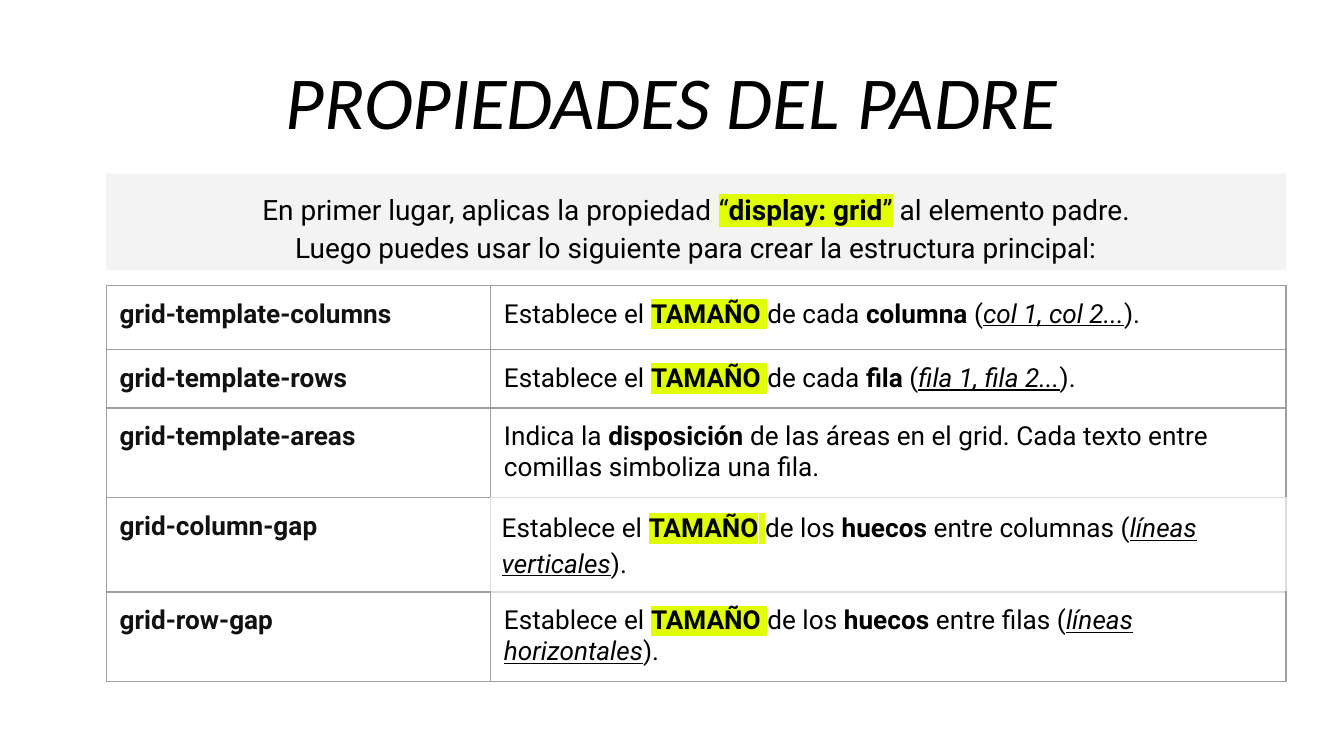
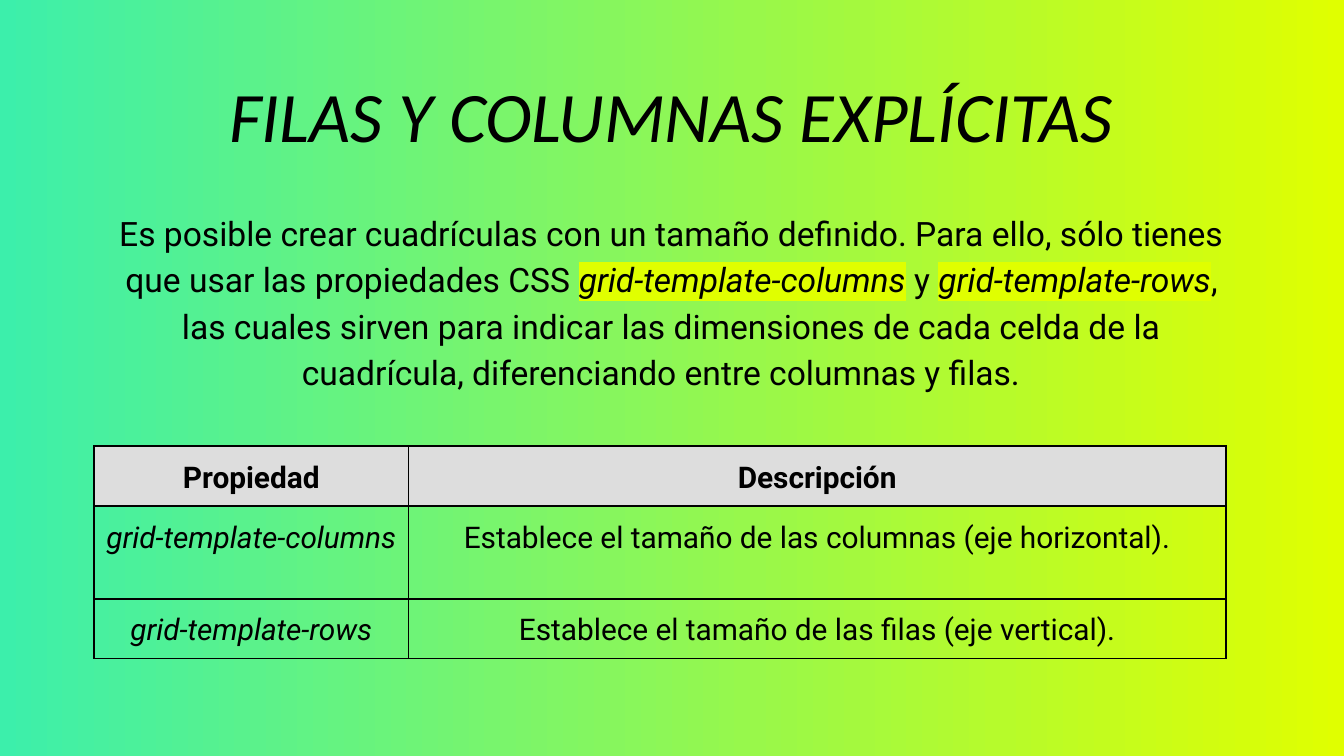
import pptx
import pptx.dml.color
import pptx.enum.shapes
import pptx.enum.text
import pptx.oxml.ns
import pptx.util
from lxml import etree

Pt = pptx.util.Pt
CENTER = pptx.enum.text.PP_ALIGN.CENTER
LEFT = pptx.enum.text.PP_ALIGN.LEFT

BLACK, INK, WHITE = "000000", "111111", "FFFFFF"
LIME, TEAL = "E0FF00", "3CEFAB"
BAND, HEADER, GREY, PALE = "F3F3F3", "DDDDDD", "9E9E9E", "DDDDDD"
TITLE_FONT, BODY_FONT = "Calibri", "Roboto"
LEADING = 1.15
INSET = 7.2
SIDES = {"L": (0, -1), "R": (0, 1), "T": (-1, 0), "B": (1, 0)}


def size_of(before, target, after, example):
    return [("Establece el ", ""), ("TAMAÑO", "bh"), (" ", "h"), (before, ""),
            (target, "b"), (after, ""), (example, "iu"), (").", "")]


PARENT_TITLE = "PROPIEDADES DEL PADRE"
PARENT_INTRO = [
    [("En primer lugar, aplicas la propiedad ", ""), ("“", "h"), ("display: grid", "bh"),
     ("”", "h"), (" al elemento padre.", "")],
    [("Luego puedes usar lo siguiente para crear la estructura principal:", "")],
]
PARENT_PROPERTIES = [
    ("grid-template-columns", size_of("de cada ", "columna", " (", "col 1, col 2...")),
    ("grid-template-rows", size_of("de cada ", "fila", " (", "fila 1, fila 2...")),
    ("grid-template-areas", [
        ("Indica la ", ""), ("disposición", "b"),
        (" de las áreas en el grid. Cada texto entre comillas simboliza una fila.", "")]),
    ("grid-column-gap", size_of("de los ", "huecos", " entre columnas (", "líneas verticales")),
    ("grid-row-gap", size_of("de los ", "huecos", " entre filas (", "líneas horizontales")),
]
PARENT_COLUMNS = [205.9, 426.2]
PARENT_ROWS = [34.5, 31, 47.2, 50.4, 47.2]
PALE_CELL = (3, 1)

EXPLICIT_TITLE = "FILAS Y COLUMNAS EXPLÍCITAS"
EXPLICIT_INTRO = [[
    ("Es posible crear cuadrículas con un tamaño definido. Para ello, sólo tienes "
     "que usar las propiedades CSS ", ""),
    ("grid-template-columns", "ih"), (" y ", ""), ("grid-template-rows", "ih"),
    (", las cuales sirven para indicar las dimensiones de cada celda de la cuadrícula, "
     "diferenciando entre columnas y filas.\t", ""),
]]
EXPLICIT_PROPERTIES = [
    ("Propiedad", "Descripción"),
    ("grid-template-columns", "Establece el tamaño de las columnas (eje horizontal)."),
    ("grid-template-rows", "Establece el tamaño de las filas (eje vertical)."),
]
EXPLICIT_COLUMNS = [168.5, 437.8]
EXPLICIT_ROWS = [31.4, 49.8, 31.4]


def color(value):
    return pptx.dml.color.RGBColor.from_string(value)


def add_color(parent, tag, value):
    element = etree.SubElement(parent, pptx.oxml.ns.qn(tag))
    etree.SubElement(element, pptx.oxml.ns.qn("a:srgbClr")).set("val", value)
    return element


def write(text_frame, paragraphs, size, font=BODY_FONT, ink=BLACK, align=CENTER, leading=LEADING):
    for index, pieces in enumerate(paragraphs):
        paragraph = text_frame.paragraphs[0] if index == 0 else text_frame.add_paragraph()
        paragraph.alignment = align
        paragraph.line_spacing = leading
        for text, style in pieces:
            run = paragraph.add_run()
            run.text = text
            run.font.size = Pt(size)
            run.font.bold = "b" in style
            run.font.italic = "i" in style
            run.font.underline = "u" in style
            run.font.color.rgb = color(ink)
            if "h" in style:
                properties = run.font._element
                highlight = add_color(properties, "a:highlight", LIME)
                properties.find(pptx.oxml.ns.qn("a:solidFill")).addnext(highlight)
            run.font.name = font


def set_insets(target, inset):
    target.margin_left = target.margin_right = Pt(inset)
    target.margin_top = target.margin_bottom = Pt(inset)


def add_text(slide, box, paragraphs, size, **options):
    shape = slide.shapes.add_textbox(*map(Pt, box))
    shape.text_frame.word_wrap = True
    set_insets(shape.text_frame, INSET)
    write(shape.text_frame, paragraphs, size, **options)
    return shape


def add_title(slide, top, text, size):
    add_text(slide, (50.4, top, 618.6, 54.7), [[(text, "i")]], size, font=TITLE_FONT)


def add_grid(slide, left, top, columns, rows):
    shape = slide.shapes.add_table(len(rows), len(columns), Pt(left), Pt(top),
                                   Pt(sum(columns)), Pt(sum(rows)))
    table = shape.table
    table.first_row = table.horz_banding = False
    for column, width in zip(table.columns, columns):
        column.width = Pt(width)
    for row, height in zip(table.rows, rows):
        row.height = Pt(height)
    return table


def style_cell(cell, inset, borders, width, fill=None):
    set_insets(cell, inset)
    properties = cell._tc.get_or_add_tcPr()
    for side, value in borders.items():
        line = etree.SubElement(properties, pptx.oxml.ns.qn("a:ln" + side))
        line.set("w", str(Pt(width)))
        add_color(line, "a:solidFill", value)
    if fill:
        cell.fill.solid()
        cell.fill.fore_color.rgb = color(fill)
    else:
        cell.fill.background()


def build_parent_slide(slide):
    slide.background.fill.solid()
    slide.background.fill.fore_color.rgb = color(WHITE)
    add_title(slide, 15.1, PARENT_TITLE, 40)

    table = add_grid(slide, 56.9, 152.8, PARENT_COLUMNS, PARENT_ROWS)
    for row, (name, description) in enumerate(PARENT_PROPERTIES):
        for column in range(2):
            cell = table.cell(row, column)
            is_pale = (row, column) == PALE_CELL
            borders = {
                side: PALE if is_pale or (row + down, column + across) == PALE_CELL else GREY
                for side, (down, across) in SIDES.items()}
            style_cell(cell, 6 if is_pale else INSET, borders, 0.75)
            pieces = description if column else [(name, "b")]
            write(cell.text_frame, [pieces], 14, ink=BLACK if column else INK, align=LEFT,
                  leading=LEADING if is_pale else 1.0)

    band = slide.shapes.add_shape(pptx.enum.shapes.MSO_SHAPE.RECTANGLE,
                                  Pt(56.9), Pt(93), Pt(632.1), Pt(51.8))
    band.shadow.inherit = False
    band.fill.solid()
    band.fill.fore_color.rgb = color(BAND)
    band.line.fill.background()
    band.text_frame.word_wrap = True
    band.text_frame.vertical_anchor = pptx.enum.text.MSO_ANCHOR.TOP
    set_insets(band.text_frame, INSET)
    write(band.text_frame, PARENT_INTRO, 15)


def build_explicit_slide(slide):
    fill = slide.background.fill
    fill.gradient()
    fill.gradient_angle = 180
    for stop, value in zip(fill.gradient_stops, (LIME, TEAL)):
        stop.color.rgb = color(value)
    add_title(slide, 24.5, EXPLICIT_TITLE, 38)

    table = add_grid(slide, 50.4, 239, EXPLICIT_COLUMNS, EXPLICIT_ROWS)
    for row, texts in enumerate(EXPLICIT_PROPERTIES):
        for column, text in enumerate(texts):
            cell = table.cell(row, column)
            style_cell(cell, 5, dict.fromkeys(SIDES, BLACK), 1, None if row else HEADER)
            style = "b" if row == 0 else "" if column else "i"
            write(cell.text_frame, [[(text, style)]], 16)

    intro = add_text(slide, (50.4, 110.9, 618.6, 123.8), EXPLICIT_INTRO, 18)
    intro.text_frame.margin_top = 0


def main():
    presentation = pptx.Presentation()
    presentation.slide_width = Pt(720)
    presentation.slide_height = Pt(405)
    for build in (build_parent_slide, build_explicit_slide):
        build(presentation.slides.add_slide(presentation.slide_layouts[6]))
    presentation.save("out.pptx")


if __name__ == "__main__":
    main()
